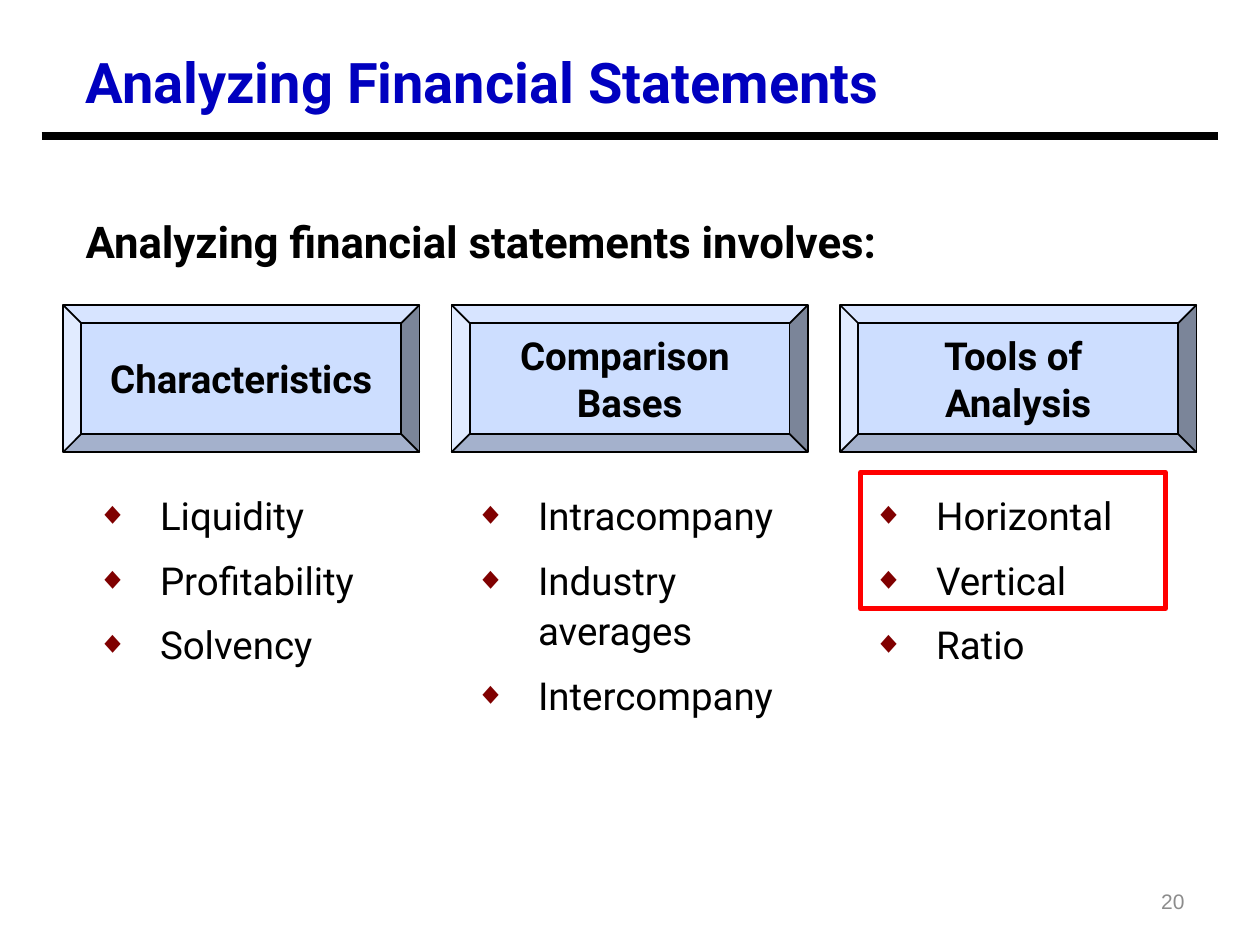
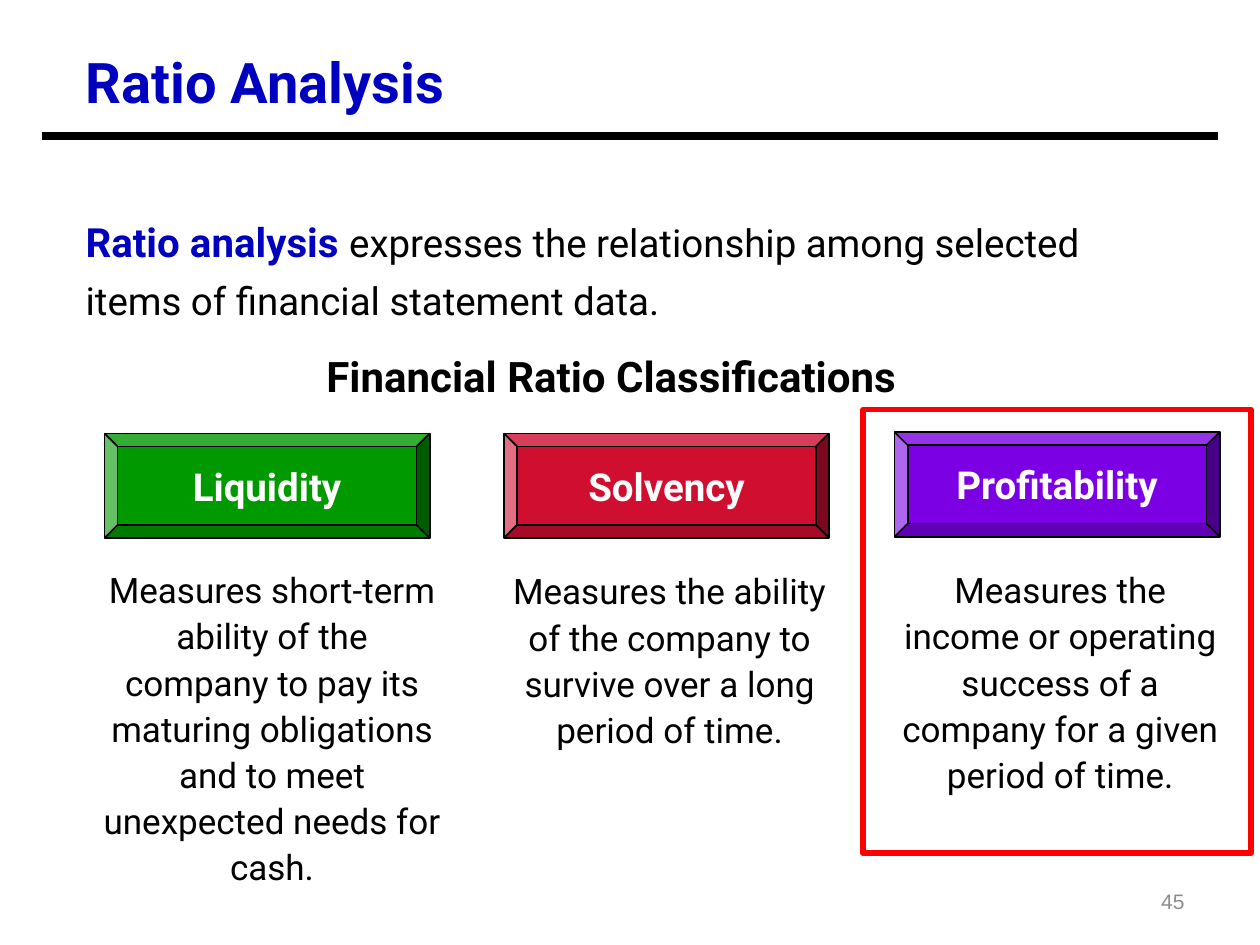
"""Build two slides on analyzing financial statements and ratio analysis."""
import pptx
import pptx.util
import pptx.dml.color
import pptx.enum.shapes
import pptx.enum.text
from lxml import etree

Inches = pptx.util.Inches
Pt = pptx.util.Pt
RGBColor = pptx.dml.color.RGBColor
ALIGN = pptx.enum.text.PP_ALIGN
ANCHOR = pptx.enum.text.MSO_ANCHOR
SHAPE = pptx.enum.shapes.MSO_SHAPE

BLACK = RGBColor(0x00, 0x00, 0x00)
WHITE = RGBColor(0xFF, 0xFF, 0xFF)
BLUE = RGBColor(0x00, 0x00, 0xBF)
PALE_BLUE = RGBColor(0xCD, 0xDE, 0xFF)
GREEN = RGBColor(0x00, 0x99, 0x00)
CRIMSON = RGBColor(0xCF, 0x0E, 0x30)
PURPLE = RGBColor(0x7B, 0x00, 0xE4)
RED = RGBColor(0xFF, 0x00, 0x00)
GRAY = RGBColor(0x8C, 0x8C, 0x8C)
MAROON = "800000"
DRAWING = "http://schemas.openxmlformats.org/drawingml/2006/main"

TITLE = {"size": Pt(32), "bold": True, "color": BLUE}
LEAD = {"size": Pt(25), "bold": True}
TERM = {"size": Pt(23), "bold": True, "color": BLUE}
HEADING = {"size": Pt(24), "bold": True}
PANEL = {"size": Pt(22), "bold": True}
BODY = {"size": Pt(22)}
DETAIL = {"size": Pt(20)}
NUMBER = {"size": Pt(12), "name": "Arial", "color": GRAY}
LIST_FRAME = {"margin_top": Inches(0.12)}
DETAIL_FRAME = {"margin_left": Inches(0.05), "margin_right": 0}
MIDDLE = {"vertical_anchor": ANCHOR.MIDDLE}
NO_WRAP = {"word_wrap": False}


def write(shape, box, paragraphs, frame={}, layout={}, bullet=False):
    """Place a shape and fill it with paragraphs made of (text, style) runs."""
    for side, length in zip(("left", "top", "width", "height"), box):
        setattr(shape, side, Inches(length))
    text = shape.text_frame
    defaults = {"word_wrap": True, "auto_size": pptx.enum.text.MSO_AUTO_SIZE.NONE,
                "vertical_anchor": ANCHOR.TOP}
    for key, value in {**defaults, **frame}.items():
        setattr(text, key, value)
    for index, runs in enumerate(paragraphs):
        paragraph = text.add_paragraph() if index else text.paragraphs[0]
        properties = paragraph._p.get_or_add_pPr()
        properties.set("marL", str(Inches(0.5) if bullet else 0))
        properties.set("indent", str(-Inches(0.5) if bullet else 0))
        if bullet:
            color = etree.SubElement(properties, f"{{{DRAWING}}}buClr")
            etree.SubElement(color, f"{{{DRAWING}}}srgbClr", val=MAROON)
            etree.SubElement(properties, f"{{{DRAWING}}}buSzPct", val="80000")
            etree.SubElement(properties, f"{{{DRAWING}}}buChar", char="◆")
        else:
            etree.SubElement(properties, f"{{{DRAWING}}}buNone")
        spacing = {"alignment": ALIGN.LEFT, "line_spacing": 1.0,
                   "space_before": Pt(7.7 if bullet and index else 0)}
        for key, value in {**spacing, **layout}.items():
            setattr(paragraph, key, value)
        for words, style in runs:
            run = paragraph.add_run()
            run.text = words
            values = {"name": "Roboto", "bold": False, "color": BLACK, **style}
            run.font.color.rgb = values.pop("color")
            for key, value in values.items():
                setattr(run.font, key, value)


def add_box(slide, kind, box, fill, line, weight):
    """Add an outlined preset shape, hollow when fill is None."""
    shape = slide.shapes.add_shape(kind, *map(Inches, box))
    shape.shadow.inherit = False
    if fill is None:
        shape.fill.background()
    else:
        shape.fill.solid()
        shape.fill.fore_color.rgb = fill
    shape.line.color.rgb = line
    shape.line.width = Pt(weight)
    return shape


deck = pptx.Presentation()
deck.slide_width, deck.slide_height = Inches(10), Inches(7.5)
comparison_layout = deck.slide_layouts[4]

slides = []
for title, number in (("Analyzing Financial Statements", "20"), ("Ratio Analysis", "45")):
    slide = deck.slides.add_slide(comparison_layout)
    slides.append(slide)
    write(slide.shapes.title, (0.58, 0.33, 9, 0.61), [[(title, TITLE)]])
    rule = slide.shapes.add_connector(
        pptx.enum.shapes.MSO_CONNECTOR.STRAIGHT,
        Inches(0.33), Inches(1.08), Inches(9.67), Inches(1.08))
    rule.line.color.rgb = BLACK
    rule.line.width = Pt(4.5)
    etree.SubElement(rule._element.spPr, f"{{{DRAWING}}}effectLst")
    page = slide.shapes.add_textbox(0, 0, 0, 0)
    write(page, (7.17, 6.95, 2.33, 0.4), [[(number, NUMBER)]], MIDDLE,
          {"alignment": ALIGN.RIGHT})

analyzing, ratios = slides

write(analyzing.placeholders[1], (0.58, 1.63, 8.75, 0.54),
      [[("Analyzing financial statements involves:", LEAD)]], layout={"line_spacing": 1.05})
topics = [
    (["Characteristics"], 0.67, 1.75, ["Liquidity", "Profitability", "Solvency"]),
    (["Comparison ", "Bases"], 3.67, 2.58,
     ["Intracompany", "Industry averages", "Intercompany"]),
    (["Tools of ", "Analysis"], 6.83, 2.58, ["Horizontal", "Vertical", "Ratio"]),
]
for column, (heading, list_left, list_height, items) in enumerate(topics):
    box = (0.5 + 3.083 * column, 2.42, 2.83, 1.17)
    panel = add_box(analyzing, SHAPE.BEVEL, box, PALE_BLUE, BLACK, 1)
    write(panel, box, [[(line, PANEL)] for line in heading], {**MIDDLE, **NO_WRAP},
          {"alignment": ALIGN.CENTER})
    write(analyzing.placeholders[column + 2], (list_left, 3.75, 2.58, list_height),
          [[(item, BODY)] for item in items], LIST_FRAME, {"line_spacing": 1.1}, bullet=True)
add_box(analyzing, SHAPE.RECTANGLE, (6.83, 3.75, 2.42, 1.08), None, RED, 3)

write(ratios.placeholders[1], (0.58, 1.58, 8.67, 1.05),
      [[("Ratio analysis ", TERM),
        ("expresses the relationship among selected items of financial statement data.", BODY)]],
      layout={"line_spacing": 1.25})
classifications = ratios.shapes.add_textbox(0, 0, 0, 0)
write(classifications, (2.49, 2.73, 4.72, 0.5), [[("Financial Ratio Classifications", HEADING)]],
      layout={"alignment": ALIGN.CENTER})
classes = [
    ("Liquidity", GREEN, (0.83, 3.44, 2.58, 0.83), (0.76, 4.43, 2.75, 2.32),
     "Measures short-term ability of the company to pay its maturing obligations "
     "and to meet unexpected needs for cash."),
    ("Solvency", CRIMSON, (4, 3.44, 2.58, 0.83), (4, 4.44, 2.58, 1.58),
     "Measures the ability of the company to survive over a long period of time."),
    ("Profitability", PURPLE, (7.1, 3.43, 2.58, 0.83), (7.1, 4.43, 2.58, 1.95),
     "Measures the income or operating success of a company for a given period of time."),
]
for column, (name, fill, panel_box, detail_box, meaning) in enumerate(classes):
    panel = add_box(ratios, SHAPE.BEVEL, panel_box, fill, BLACK, 1)
    write(panel, panel_box, [[(name, {**PANEL, "color": WHITE})]], {**MIDDLE, **NO_WRAP},
          {"alignment": ALIGN.CENTER})
    write(ratios.placeholders[column + 2], detail_box, [[(meaning, DETAIL)]], DETAIL_FRAME,
          {"alignment": ALIGN.CENTER, "line_spacing": 1.1})
add_box(ratios, SHAPE.RECTANGLE, (6.85, 3.25, 3.08, 3.52), None, RED, 3)

deck.save("out.pptx")
